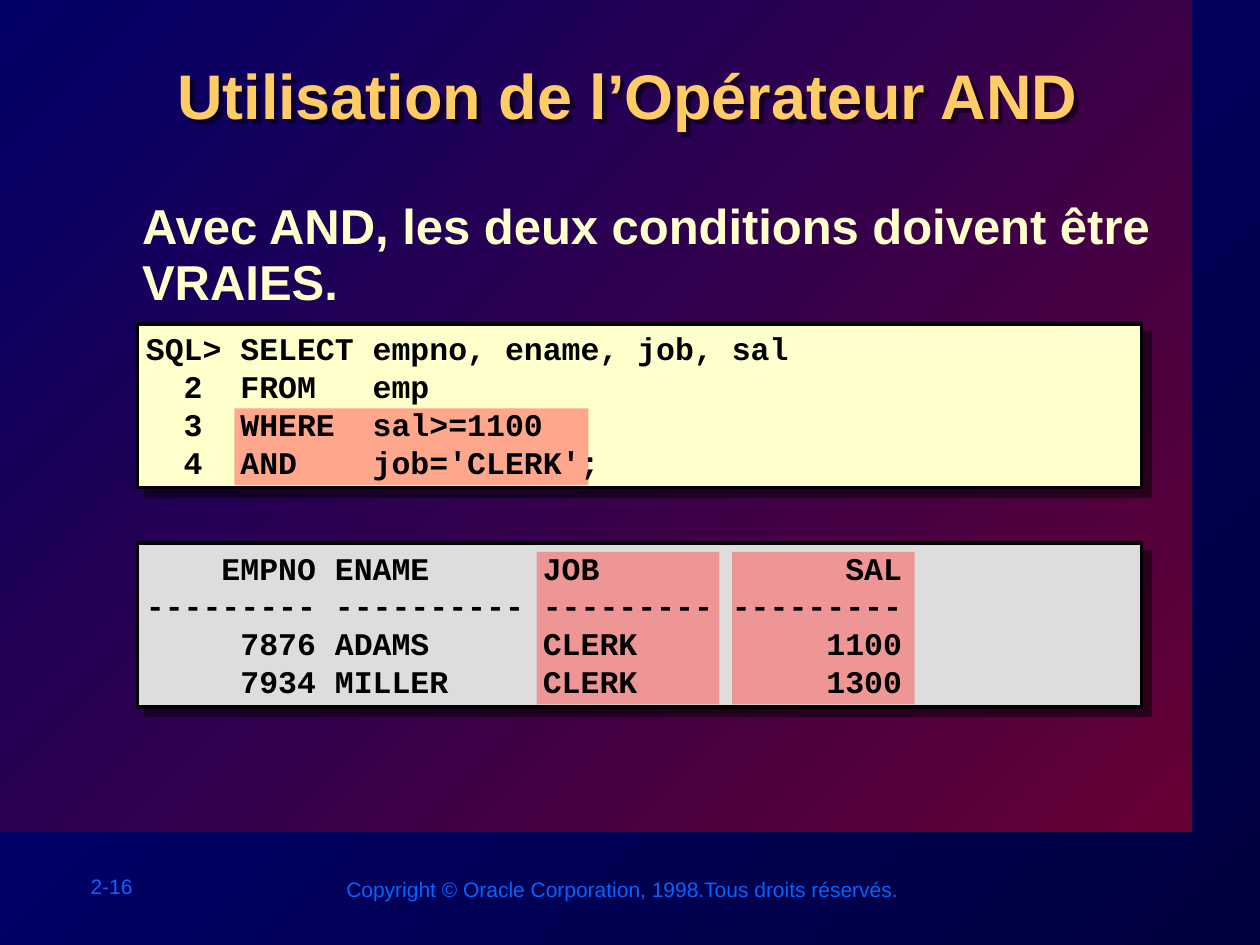
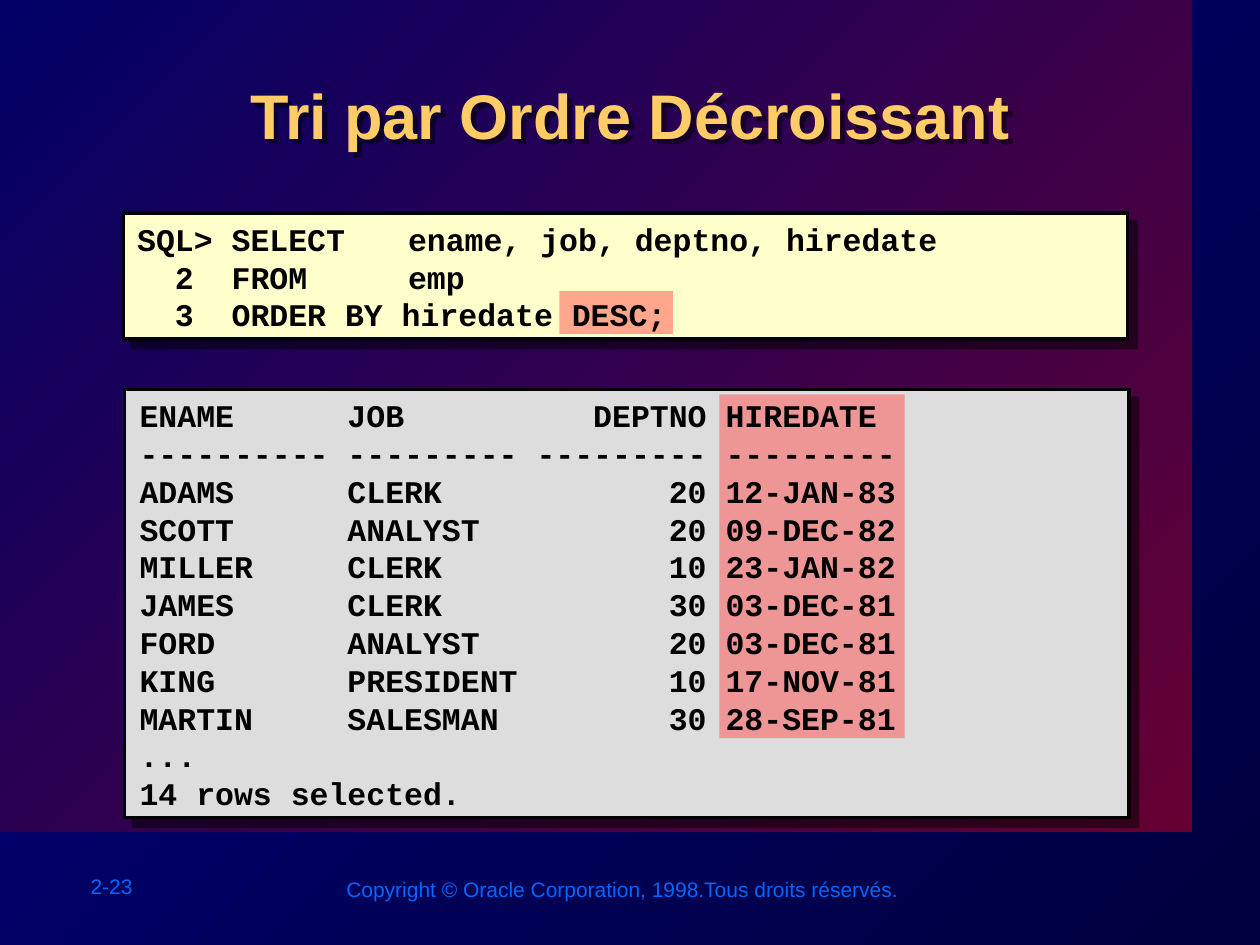
from dataclasses import dataclass

from lxml import etree
from pptx import Presentation, util as u
from pptx.dml.color import RGBColor
from pptx.enum import shapes, text
from pptx.oxml.ns import qn

NAVY = RGBColor(0x00, 0x00, 0x3F)
BLUE = RGBColor(0x00, 0x00, 0x80)
WINE = RGBColor(0x66, 0x00, 0x33)
INDIGO = RGBColor(0x00, 0x00, 0x66)
AZURE = RGBColor(0x00, 0x66, 0xFF)
GOLD = RGBColor(0xFF, 0xCC, 0x66)
CREAM = RGBColor(0xFF, 0xFF, 0xCC)
GREY = RGBColor(0xDD, 0xDD, 0xDD)
CORAL = RGBColor(0xFF, 0x50, 0x50)
BLACK = RGBColor(0x00, 0x00, 0x00)

HEAD = {"name": "Arial", "size": u.Pt(36), "bold": True}
LEAD = {"name": "Arial", "size": u.Pt(28), "bold": True}
CODE = {"name": "Courier New", "size": u.Pt(18), "bold": True}
FOOT = {"name": "Arial", "size": u.Pt(12), "bold": False}
TABS = (1.31, 2, 3, 4, 5, 6, 7)
RIGHTS = "Copyright © Oracle Corporation, 1998.Tous droits réservés."

Box = tuple[float, float, float, float]


@dataclass
class Pane:
    box: Box
    fill: RGBColor
    shift: tuple[float, float]
    lines: str
    marks: list[Box]


@dataclass
class Page:
    number: str
    title: str
    spot: tuple[float, float]
    pitch: float
    panes: list[Pane]
    lead: str = ""


PAGES = [
    Page("2-16", "Utilisation de l’Opérateur AND", (0.99, 0.28), 1.2, [
        Pane((1.09, 2.57, 7.97, 1.3), CREAM, (-0.03, -0.02),
             "SQL> SELECT empno, ename, job, sal\n"
             "  2  FROM   emp\n"
             "  3  WHERE  sal>=1100\n"
             "  4  AND    job='CLERK';",
             [(1.86, 3.24, 2.81, 0.61)]),
        Pane((1.09, 4.31, 7.97, 1.3), GREY, (-0.03, -0.02),
             "    EMPNO ENAME      JOB             SAL\n"
             "--------- ---------- --------- ---------\n"
             "     7876 ADAMS      CLERK          1100\n"
             "     7934 MILLER     CLERK          1300",
             [(left, 4.38, 1.45, 1.21) for left in (4.26, 5.81)]),
    ], "Avec AND, les deux conditions doivent être VRAIES."),
    Page("2-23", "Tri par Ordre Décroissant", (1.01, 0.56), 1.0, [
        Pane((0.98, 1.69, 7.97, 1), CREAM, (0.01, -0.01),
             "SQL> SELECT  \t ename, job, deptno, hiredate\n"
             "  2  FROM    \t emp\n"
             "  3  ORDER BY hiredate DESC;",
             [(4.44, 2.31, 0.9, 0.34)]),
        Pane((0.99, 3.09, 7.97, 3.4), GREY, (0.02, -0.01),
             "ENAME      JOB          DEPTNO HIREDATE\n"
             "---------- --------- --------- ---------\n"
             "ADAMS      CLERK            20 12-JAN-83\n"
             "SCOTT      ANALYST          20 09-DEC-82\n"
             "MILLER     CLERK            10 23-JAN-82\n"
             "JAMES      CLERK            30 03-DEC-81\n"
             "FORD       ANALYST          20 03-DEC-81\n"
             "KING       PRESIDENT        10 17-NOV-81\n"
             "MARTIN     SALESMAN         30 28-SEP-81\n"
             "...\n"
             "14 rows selected.",
             [(5.71, 3.13, 1.47, 2.73)]),
    ]),
]


def place(box: Box) -> list[u.Length]:
    return [u.Inches(side) for side in box]


def blend(fill, start: RGBColor, end: RGBColor) -> None:
    fill.gradient()
    fill.gradient_angle = 135
    for stop, color in zip(fill.gradient_stops, (start, end)):
        stop.color.rgb = color


def shade(shape, reach: float) -> None:
    shape.shadow.inherit = False
    effects = shape._element.spPr.find(qn("a:effectLst"))
    cast = etree.SubElement(effects, qn("a:outerShdw"), dist=str(u.Pt(reach)),
                            dir="2700000", algn="ctr", rotWithShape="0")
    color = etree.SubElement(cast, qn("a:srgbClr"), val=str(BLACK))
    etree.SubElement(color, qn("a:alpha"), val="50000")


def write(frame, lines: str, font: dict, color: RGBColor) -> None:
    for index, line in enumerate(lines.split("\n")):
        para = frame.add_paragraph() if index else frame.paragraphs[0]
        run = para.add_run()
        run.text = line
        for key, value in font.items():
            setattr(run.font, key, value)
        run.font.color.rgb = color


def label(slide, box: Box, lines: str, font: dict, color: RGBColor, wrap: bool = True):
    frame = slide.shapes.add_textbox(*place(box)).text_frame
    frame.word_wrap = wrap
    write(frame, lines, font, color)
    return frame


def block(slide, box: Box):
    shape = slide.shapes.add_shape(shapes.MSO_SHAPE.RECTANGLE, *place(box))
    shape.shadow.inherit = False
    shape.line.fill.background()
    return shape


def panel(slide, pane: Pane) -> None:
    shape = block(slide, pane.box)
    shape.fill.solid()
    shape.fill.fore_color.rgb = pane.fill
    shape.line.color.rgb = BLACK
    shape.line.width = u.Pt(2)
    shade(shape, 7.1)


def mark(slide, box: Box) -> None:
    shape = block(slide, box)
    shape.fill.solid()
    shape.fill.fore_color.rgb = CORAL
    color = shape._element.spPr.find(qn("a:solidFill"))[0]
    etree.SubElement(color, qn("a:alpha"), val="50000")


def listing(slide, pane: Pane) -> None:
    left, top, width, height = pane.box
    right, down = pane.shift
    box = (left + right, top + down, width + 0.03, height + 0.03)
    frame = label(slide, box, pane.lines, CODE, BLACK)
    frame.vertical_anchor = text.MSO_ANCHOR.MIDDLE
    for para in frame.paragraphs:
        tabs = etree.SubElement(para._p.get_or_add_pPr(), qn("a:tabLst"))
        for stop in TABS:
            etree.SubElement(tabs, qn("a:tab"), pos=str(u.Inches(stop)), algn="l")


def head(slide, page: Page) -> None:
    title = slide.shapes.title
    slide.shapes._spTree.append(title._element)
    title.left, title.top, title.width, title.height = place((*page.spot, 7.98, 0.96))
    frame = title.text_frame
    frame.vertical_anchor = text.MSO_ANCHOR.TOP
    frame.auto_size = text.MSO_AUTO_SIZE.NONE
    write(frame, page.title, HEAD, GOLD)
    para = frame.paragraphs[0]
    para.alignment = text.PP_ALIGN.CENTER
    para.line_spacing = page.pitch
    shade(title, 4)


def draw(deck, page: Page) -> None:
    slide = deck.slides.add_slide(deck.slide_layouts[5])
    blend(block(slide, (0, 0, 9.46, 6.6)).fill, WINE, INDIGO)
    for box, words in (((0.62, 6.88, 1.11, 0.3), page.number),
                       ((2.65, 6.91, 4.61, 0.3), RIGHTS)):
        frame = label(slide, box, words, FOOT, AZURE, False)
        frame.auto_size = text.MSO_AUTO_SIZE.SHAPE_TO_FIT_TEXT
    for pane in page.panes:
        panel(slide, pane)
    head(slide, page)
    if page.lead:
        frame = label(slide, (1.03, 1.54, 8.54, 0.99), page.lead, LEAD, CREAM)
        frame.auto_size = text.MSO_AUTO_SIZE.SHAPE_TO_FIT_TEXT
        frame.paragraphs[0].line_spacing = 0.95
    for pane in page.panes:
        for box in pane.marks:
            mark(slide, box)
    for pane in page.panes:
        listing(slide, pane)


def main() -> None:
    deck = Presentation()
    deck.slide_width, deck.slide_height = u.Inches(10), u.Inches(7.5)
    blend(deck.slide_master.background.fill, NAVY, BLUE)
    for page in PAGES:
        draw(deck, page)
    deck.save("out.pptx")


if __name__ == "__main__":
    main()
